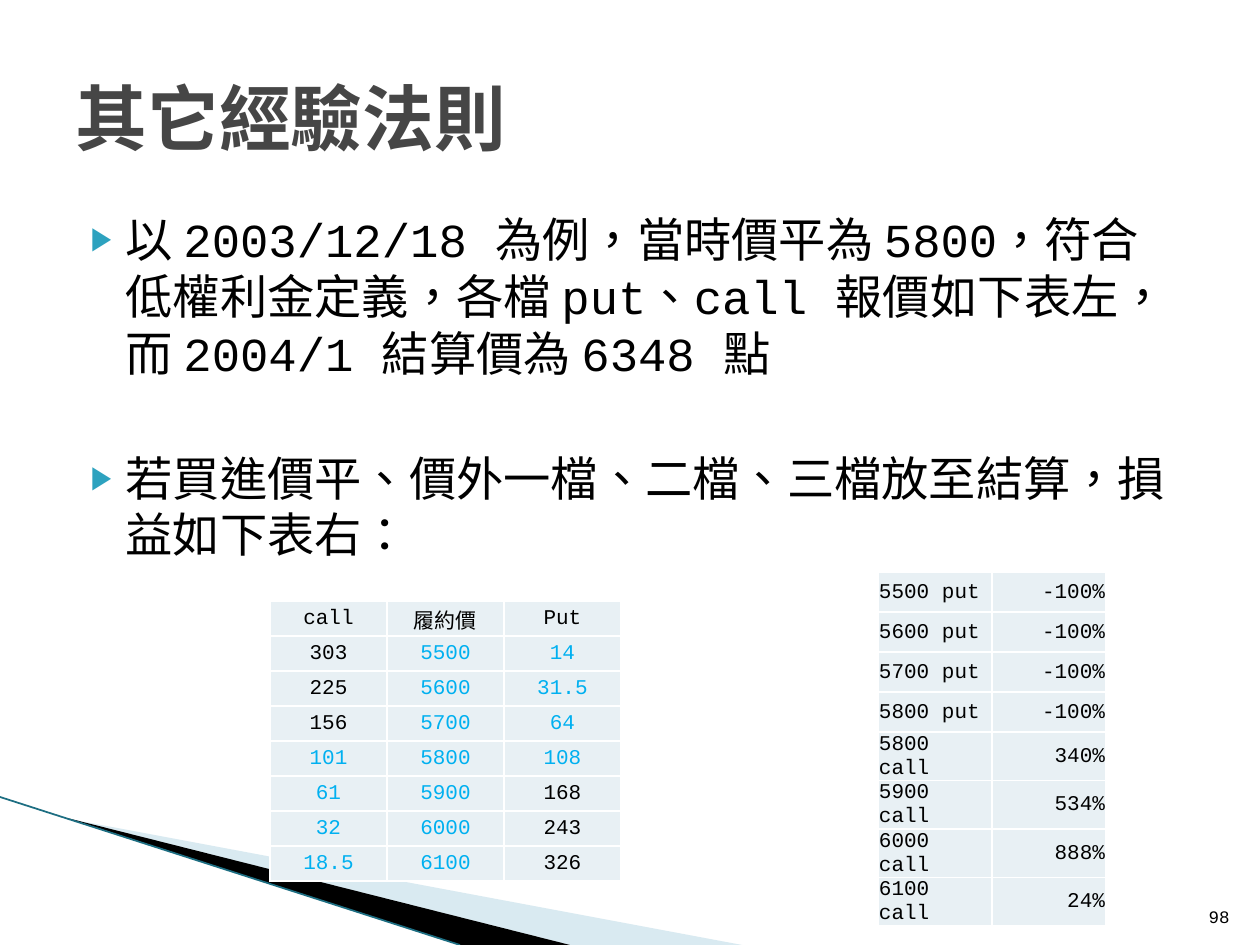
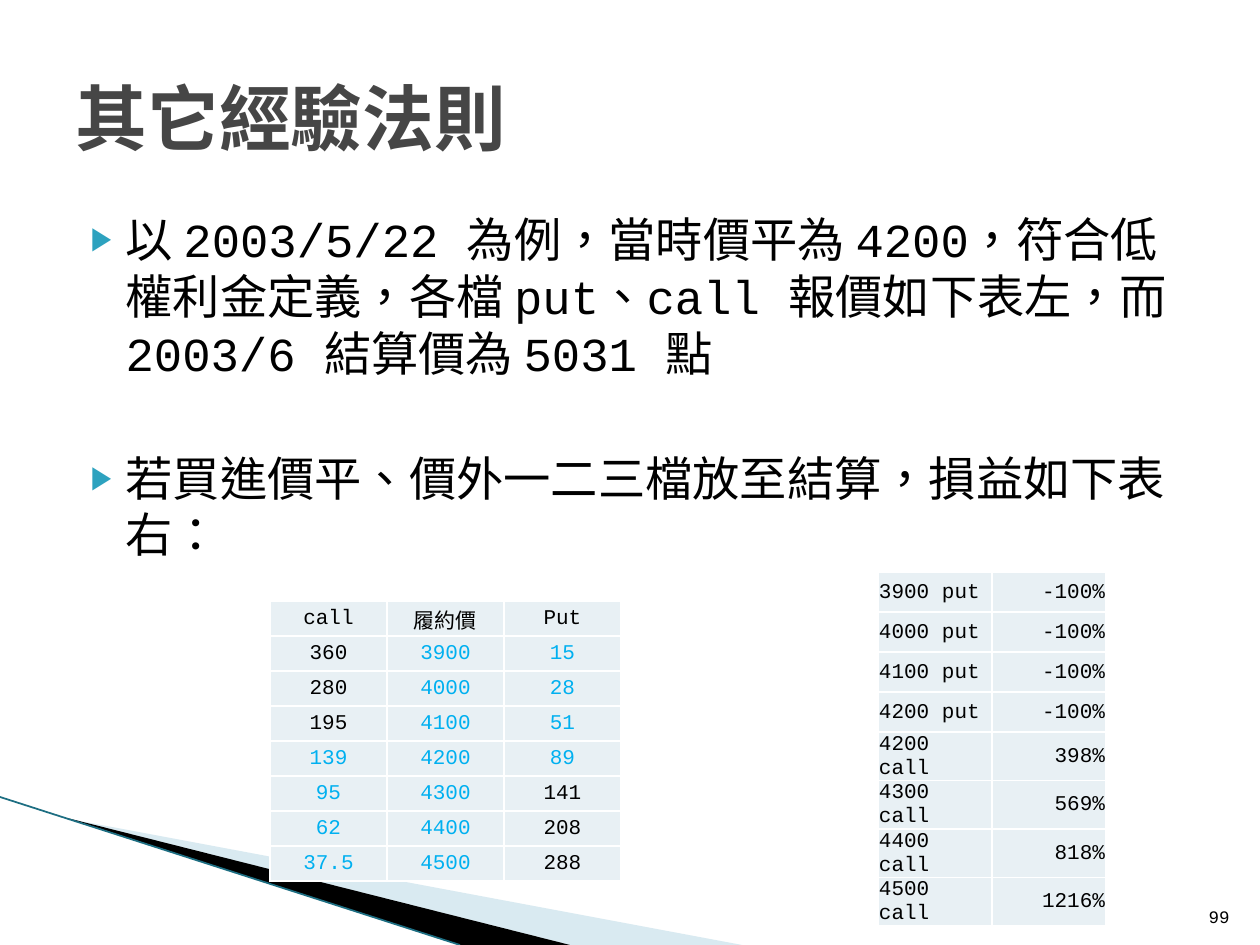
from lxml.etree import SubElement
from pptx import Presentation
from pptx.dml.color import RGBColor
from pptx.enum.lang import MSO_LANGUAGE_ID as Language
from pptx.enum.shapes import MSO_CONNECTOR as Connector
from pptx.enum.text import MSO_ANCHOR as Anchor, MSO_AUTO_SIZE as AutoSize, PP_ALIGN as Align
from pptx.oxml.ns import qn
from pptx.util import Emu, Pt

SCALE = 914400 / 126  # EMU in one px
WIDTH, HEIGHT = 1260, 945
FONT = "Courier New"

BLACK = RGBColor(0x00, 0x00, 0x00)
WHITE = RGBColor(0xFF, 0xFF, 0xFF)
GREY = RGBColor(0x46, 0x46, 0x46)
TEAL = RGBColor(0x2D, 0xA2, 0xBF)
DARK_TEAL = RGBColor(0x1D, 0x6E, 0x82)
PALE_BLUE = RGBColor(0xA0, 0xCB, 0xDC)
CELL = RGBColor(0xE8, 0xF0, 0xF4)
BLUE = RGBColor(0x00, 0xB0, 0xF0)

AT_THE_MONEY = 3  # position of the at-the-money strike in each price list


def px(*lengths):
    return [Emu(round(length * SCALE)) for length in lengths]


def add_tag(parent, tag, **attributes):
    return SubElement(parent, qn(tag), attributes)


class SlideBuilder:
    """Holds the deck, its style and the current slide."""

    def __init__(self):
        self.deck = Presentation()
        self.deck.slide_width, self.deck.slide_height = px(WIDTH, HEIGHT)
        self.page = None

    def new_page(self, number):
        self.page = self.deck.slides.add_slide(self.deck.slide_layouts[1])
        self.corner()
        self.page_number(number)

    def set_text(self, para, text, size, color=BLACK, align=Align.LEFT, bold=False):
        span = para.add_run()
        span.text = text
        span.font.language_id = Language.TRADITIONAL_CHINESE
        para.alignment = align
        para.font.name, para.font.size, para.font.bold = FONT, Pt(size), bold
        para.font.color.rgb = color

    def place(self, box, left, top, width, height, anchor):
        box.left, box.top, box.width, box.height = px(left, top, width, height)
        frame = box.text_frame
        frame.word_wrap = True
        frame.auto_size = AutoSize.NONE
        frame.vertical_anchor = anchor
        return frame

    def title(self, text):
        frame = self.place(self.page.shapes.title, 63, 38, 1134, 157, Anchor.MIDDLE)
        self.set_text(frame.paragraphs[0], text, 41, GREY, bold=True)

    def bullets(self, items):
        frame = self.place(self.page.placeholders[1], 63, 204, 1134, 624, Anchor.TOP)
        for index, item in enumerate(items):
            para = frame.add_paragraph() if index else frame.paragraphs[0]
            para.space_before = Pt(39 if index else 0)
            properties = para._p.get_or_add_pPr()
            indent, hanging = px(50, -35)
            properties.set("marL", str(indent))
            properties.set("indent", str(hanging))
            color = add_tag(properties, "a:buClr")
            add_tag(color, "a:srgbClr", val=str(TEAL))
            add_tag(properties, "a:buSzPct", val="68000")
            add_tag(properties, "a:buChar", char="▶")
            self.set_text(para, item, 27)

    def page_number(self, number):
        box = self.page.shapes.add_textbox(0, 0, 0, 0)
        frame = self.place(box, 1192, 883, 50, 50, Anchor.BOTTOM)
        self.set_text(frame.paragraphs[0], str(number), 10, align=Align.RIGHT)

    def triangle(self, corners, color, opacity=100):
        builder = self.page.shapes.build_freeform(*corners[0], scale=SCALE)
        builder.add_line_segments(corners[1:], close=True)
        shape = builder.convert_to_shape()
        shape.shadow.inherit = False
        shape.line.fill.background()
        shape.fill.solid()
        shape.fill.fore_color.rgb = color
        if opacity < 100:
            fill_color = shape._element.spPr.find(".//" + qn("a:srgbClr"))
            add_tag(fill_color, "a:alpha", val=str(opacity * 1000))

    def corner(self):
        self.triangle([(69, 819), (742, HEIGHT), (570, HEIGHT)], PALE_BLUE, 40)
        self.triangle([(67, 818), (570, HEIGHT), (460, HEIGHT)], BLACK)
        edge = self.page.shapes.add_connector(Connector.STRAIGHT, *px(0, 797, 460, HEIGHT))
        edge.line.color.rgb = DARK_TEAL
        edge.line.width = Pt(1)
        add_tag(edge._element.spPr, "a:effectLst")

    def table(self, rows, left, top, column_width, row_height, aligns, color_of):
        columns = len(aligns)
        size = px(left, top, column_width * columns, row_height * len(rows))
        grid = self.page.shapes.add_table(len(rows), columns, *size).table
        for column in grid.columns:
            column.width = px(column_width)[0]
        for r, values in enumerate(rows):
            grid.rows[r].height = px(row_height)[0]
            for c, value in enumerate(values):
                cell = grid.cell(r, c)
                self.style_cell(cell)
                para = cell.text_frame.paragraphs[0]
                self.set_text(para, value, 12, color_of(r, c), aligns[c])

    def style_cell(self, cell):
        margins = px(1, 1, 1, 0)
        cell.margin_left, cell.margin_top, cell.margin_right, cell.margin_bottom = margins
        cell.vertical_anchor = Anchor.MIDDLE
        properties = cell._tc.get_or_add_tcPr()
        for side in "LRTB":
            border = add_tag(properties, "a:ln" + side, w=str(Pt(1)))
            fill = add_tag(border, "a:solidFill")
            add_tag(fill, "a:srgbClr", val=str(WHITE))
        cell.fill.solid()
        cell.fill.fore_color.rgb = CELL

    def price_table(self, prices):
        def color_of(row, column):
            position = row - 1
            bought = (position >= AT_THE_MONEY, True, position <= AT_THE_MONEY)
            return BLUE if row and bought[column] else BLACK

        rows = [("call", "履約價", "Put"), *prices]
        self.table(rows, 270, 601, 117, 35, [Align.CENTER] * 3, color_of)

    def return_table(self, strikes, returns):
        names = [f"{strike} put" for strike in strikes[:AT_THE_MONEY + 1]]
        names += [f"{strike} call" for strike in strikes[AT_THE_MONEY:]]
        rows = list(zip(names, returns))
        self.table(rows, 878, 572, 114, 40, [Align.LEFT, Align.RIGHT], lambda r, c: BLACK)


# Content: one entry per slide
EXAMPLES = [
    {
        "number": 98, "date": "2003/12/18", "month": "2004/1", "settled": 6348,
        "choice": "價外一檔、二檔、三檔", "first_strike": 5500,
        "calls": "303 225 156 101 61 32 18.5",
        "puts": "14 31.5 64 108 168 243 326",
        "call_returns": "340% 534% 888% 24%",
    },
    {
        "number": 99, "date": "2003/5/22", "month": "2003/6", "settled": 5031,
        "choice": "價外一二三檔", "first_strike": 3900,
        "calls": "360 280 195 139 95 62 37.5",
        "puts": "15 28 51 89 141 208 288",
        "call_returns": "398% 569% 818% 1216%",
    },
]


def main():
    slides = SlideBuilder()
    for example in EXAMPLES:
        first = example["first_strike"]
        strikes = [str(first + 100 * step) for step in range(7)]
        prices = zip(example["calls"].split(), strikes, example["puts"].split())
        returns = ["-100%"] * 4 + example["call_returns"].split()

        slides.new_page(example["number"])
        slides.title("其它經驗法則")
        slides.bullets([
            f"以 {example['date']} 為例，當時價平為 {strikes[AT_THE_MONEY]}，"
            "符合低權利金定義，各檔 put、call 報價如下表左，"
            f"而 {example['month']} 結算價為 {example['settled']} 點",
            f"若買進價平、{example['choice']}放至結算，損益如下表右：",
        ])
        slides.price_table(prices)
        slides.return_table(strikes, returns)
    slides.deck.save("out.pptx")


if __name__ == "__main__":
    main()
